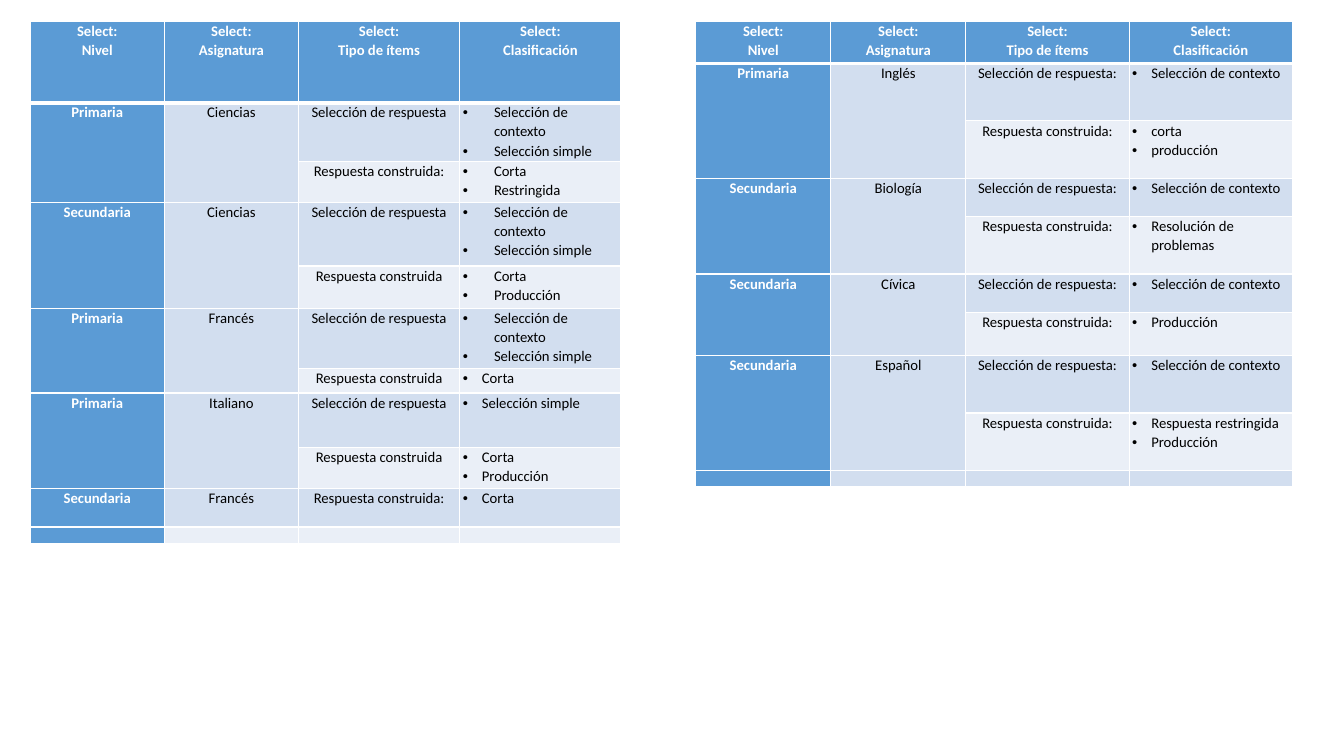
from dataclasses import dataclass

from lxml import etree
from pptx import Presentation
from pptx import util as u
from pptx.dml.color import RGBColor
from pptx.enum import text
from pptx.oxml import ns


@dataclass(frozen=True)
class Theme:
    """Colours, type and line weights shared by both tables."""
    accent: str = "5B9BD5"
    odd_band: str = "D2DEEF"
    even_band: str = "EAEFF7"
    light: str = "FFFFFF"
    dark: str = "000000"
    font: str = "Calibri"
    size: float = 10.5
    empty_size: float = 8
    spacing: float = 1.07
    border: float = 1
    heavy_border: float = 3


THEME = Theme()
WIDE, NARROW = 0.31, 0.19
HEADINGS = ["Nivel", "Asignatura", "Tipo de ítems", "Clasificación"]
SELECTED = "Selección de respuesta"
BUILT = "Respuesta construida"
CONTEXT, SIMPLE = "Selección de contexto", "Selección simple"

LEFT_GROUPS = [
    ("Primaria", "Ciencias", [(SELECTED, [CONTEXT, SIMPLE], WIDE),
                              (BUILT + ":", ["Corta", "Restringida"], WIDE)]),
    ("Secundaria", "Ciencias", [(SELECTED, [CONTEXT, SIMPLE], WIDE),
                                (BUILT, ["Corta", "Producción"], WIDE)]),
    ("Primaria", "Francés", [(SELECTED, [CONTEXT, SIMPLE], WIDE),
                             (BUILT, ["Corta"], NARROW)]),
    ("Primaria", "Italiano", [(SELECTED, [SIMPLE], NARROW),
                              (BUILT, ["Corta", "Producción"], NARROW)]),
    ("Secundaria", "Francés", [(BUILT + ":", ["Corta"], NARROW)]),
]
RIGHT_GROUPS = [
    (level, subject, [(SELECTED + ":", [CONTEXT], NARROW),
                      (BUILT + ":", answers, NARROW)])
    for level, subject, answers in [
        ("Primaria", "Inglés", ["corta", "producción"]),
        ("Secundaria", "Biología", ["Resolución de problemas"]),
        ("Secundaria", "Cívica", ["Producción"]),
        ("Secundaria", "Español", ["Respuesta restringida", "Producción"]),
    ]
]
LEFT_ROWS = [0.81, 0.58, 0.41, 0.63, 0.42, 0.6, 0.24, 0.54, 0.41, 0.38, 0.16]
RIGHT_ROWS = [0.42, 0.57, 0.57, 0.38, 0.57, 0.38, 0.43, 0.57, 0.57, 0.16]


def style_cell(cell, row, column):
    """Set the margins, borders and fill that follow from a cell's position."""
    cell.margin_left = cell.margin_right = u.Inches(0.03)
    cell.margin_top = cell.margin_bottom = 0
    properties = cell._tc.get_or_add_tcPr()
    heavy_side = {0: "lnB", 1: "lnT"}.get(row)
    for side in ("lnL", "lnR", "lnT", "lnB"):
        width = THEME.heavy_border if side == heavy_side else THEME.border
        line = etree.SubElement(properties, ns.qn("a:" + side), w=str(u.Pt(width)))
        fill = etree.SubElement(line, ns.qn("a:solidFill"))
        etree.SubElement(fill, ns.qn("a:srgbClr"), val=THEME.light)
    band = THEME.odd_band if row % 2 else THEME.even_band
    colour = THEME.accent if row == 0 or column == 0 else band
    cell.fill.solid()
    cell.fill.fore_color.rgb = RGBColor.from_string(colour)
    etree.SubElement(cell.text_frame.paragraphs[0]._p, ns.qn("a:endParaRPr"),
                     sz=str(int(THEME.empty_size * 100)))


def write_cell(cell, lines, strong=False, indent=None):
    """Write one paragraph per line, centred or bulleted at an indent."""
    frame = cell.text_frame
    for index, line in enumerate(lines):
        paragraph = frame.add_paragraph() if index else frame.paragraphs[0]
        paragraph.line_spacing = THEME.spacing
        if indent is None:
            paragraph.alignment = text.PP_ALIGN.CENTER
        else:
            properties = paragraph._p.get_or_add_pPr()
            properties.set("marL", str(u.Inches(indent)))
            properties.set("indent", str(-u.Inches(indent)))
            etree.SubElement(properties, ns.qn("a:buFont"), typeface="Arial")
            etree.SubElement(properties, ns.qn("a:buChar"), char="•")
        run = paragraph.add_run()
        run.text = line
        run.font.name = THEME.font
        run.font.size = u.Pt(THEME.size)
        run.font.bold = strong
        run.font.color.rgb = RGBColor.from_string(THEME.light if strong else THEME.dark)


def add_item_table(slide, box, column_widths, row_heights, groups):
    """Add a table of item types, grouped by level and subject, in a box."""
    frame = slide.shapes.add_table(len(row_heights), len(column_widths),
                                   *(u.Inches(length) for length in box))
    table = frame.table
    for column, width in zip(table.columns, column_widths):
        column.width = u.Inches(width)
    for index, height in enumerate(row_heights):
        table.rows[index].height = u.Inches(height)
        for column in range(len(column_widths)):
            style_cell(table.cell(index, column), index, column)

    for column, heading in enumerate(HEADINGS):
        write_cell(table.cell(0, column), ["Select:", heading], strong=True)
    row = 1
    for level, subject, items in groups:
        last = row + len(items) - 1
        for column, label in enumerate((level, subject)):
            if last > row:
                table.cell(row, column).merge(table.cell(last, column))
            write_cell(table.cell(row, column), [label], strong=column == 0)
        for item_type, classes, indent in items:
            write_cell(table.cell(row, 2), [item_type])
            write_cell(table.cell(row, 3), classes, indent=indent)
            row += 1


def main():
    """Build the slide with its two tables and save it."""
    presentation = Presentation()
    presentation.slide_width = u.Inches(13.33)
    presentation.slide_height = u.Inches(7.5)
    slide = presentation.slides.add_slide(presentation.slide_layouts[6])
    add_item_table(slide, (0.3, 0.21, 5.86, 5.17), [1.33, 1.33, 1.6, 1.6],
                   LEFT_ROWS, LEFT_GROUPS)
    add_item_table(slide, (6.9, 0.21, 5.93, 4.62), [1.34, 1.34, 1.62, 1.62],
                   RIGHT_ROWS, RIGHT_GROUPS)
    presentation.save("out.pptx")


main()
